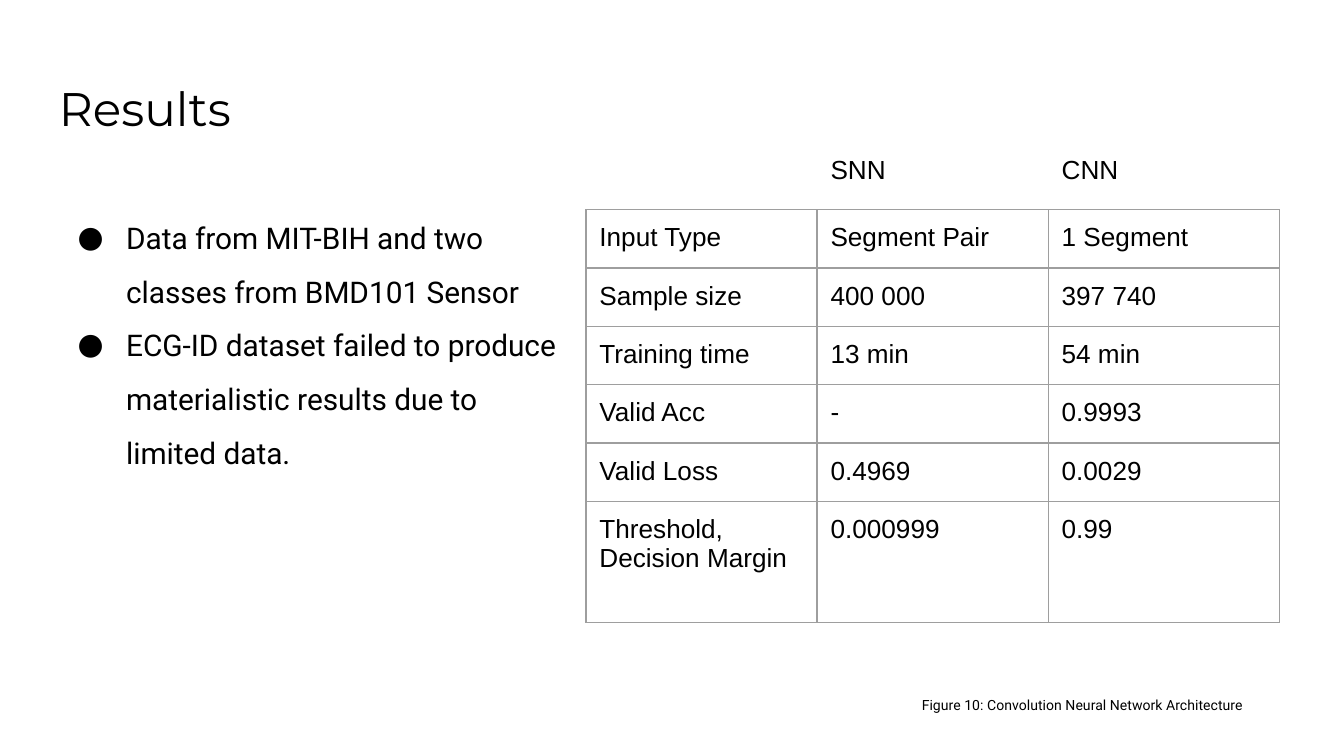
from lxml.etree import SubElement
from pptx import Presentation
from pptx.dml.color import RGBColor
from pptx.oxml.ns import qn
from pptx.util import Inches, Pt

COLORS = {"text": "000000", "grid": "9E9E9E", "background": "FFFFFF"}
RESULTS = [
    ("", "SNN", "CNN"),
    ("Input Type", "Segment Pair", "1 Segment"),
    ("Sample size", "400 000", "397 740"),
    ("Training time", "13 min", "54 min"),
    ("Valid Acc", "-", "0.9993"),
    ("Valid Loss", "0.4969", "0.0029"),
    ("Threshold, Decision Margin", "0.000999", "0.99"),
]
FINDINGS = [
    "Data from MIT-BIH and two classes from BMD101 Sensor",
    "ECG-ID dataset failed to produce materialistic results due to limited data.",
]


class ResultsSlide:
    """Holds the style and the slide, and adds each kind of element to it."""

    def __init__(self, slide):
        self.slide = slide
        self.inset = Inches(0.1)
        slide.background.fill.solid()
        slide.background.fill.fore_color.rgb = RGBColor.from_string(COLORS["background"])

    def set_insets(self, holder):
        holder.margin_left = holder.margin_right = self.inset
        holder.margin_top = holder.margin_bottom = self.inset

    def style_runs(self, paragraph, font, size):
        for run in paragraph.runs:
            run.font.name = font
            run.font.size = Pt(size)
            run.font.color.rgb = RGBColor.from_string(COLORS["text"])

    def add_text(self, text, left, top, width, height, font, size):
        box = self.slide.shapes.add_textbox(
            Inches(left), Inches(top), Inches(width), Inches(height))
        frame = box.text_frame
        frame.word_wrap = True
        self.set_insets(frame)
        frame.text = text
        for paragraph in frame.paragraphs:
            self.style_runs(paragraph, font, size)
        return frame

    def add_bullets(self, items, left, top, width, height, font, size):
        frame = self.add_text("\n".join(items), left, top, width, height, font, size)
        for paragraph in frame.paragraphs:
            paragraph.line_spacing = 1.5
            properties = paragraph._p.get_or_add_pPr()
            properties.set("marL", str(Inches(0.5)))
            properties.set("indent", str(Inches(-0.36)))
            bullet_color = SubElement(properties, qn("a:buClr"))
            SubElement(bullet_color, qn("a:srgbClr"), val=COLORS["text"])
            SubElement(properties, qn("a:buSzPts"), val=str(size * 100))
            SubElement(properties, qn("a:buFont"), typeface=font)
            SubElement(properties, qn("a:buChar"), char="●")

    def add_borders(self, cell, visible):
        properties = cell._tc.get_or_add_tcPr()
        for side in "LRTB":
            line = SubElement(properties, qn(f"a:ln{side}"), w=str(Pt(0.75)))
            if side in visible:
                fill = SubElement(line, qn("a:solidFill"))
                SubElement(fill, qn("a:srgbClr"), val=COLORS["grid"])
            else:
                SubElement(line, qn("a:noFill"))

    def add_table(self, rows, left, top, widths, heights, font, size):
        table = self.slide.shapes.add_table(
            len(rows), len(widths), Inches(left), Inches(top),
            Inches(sum(widths)), Inches(sum(heights))).table
        table.first_row = table.horz_banding = False
        for column, width in zip(table.columns, widths):
            column.width = Inches(width)
        for index, (row, height, values) in enumerate(zip(table.rows, heights, rows)):
            row.height = Inches(height)
            for cell, value in zip(row.cells, values):
                self.set_insets(cell)
                self.add_borders(cell, "LRTB" if index else "B")
                cell.fill.background()
                cell.text_frame.text = value
                self.style_runs(cell.text_frame.paragraphs[0], font, size)


def main():
    deck = Presentation()
    deck.slide_width, deck.slide_height = Inches(10), Inches(10 * 9 / 16)
    results = ResultsSlide(deck.slides.add_slide(deck.slide_layouts[6]))
    results.add_text("Results", 0.34, 0.49, 6.71, 0.63, "Montserrat", 25.2)
    results.add_bullets(FINDINGS, 0.34, 1.4, 3.97, 2.09, "Roboto", 16)
    results.add_text("Figure 10: Convolution Neural Network Architecture",
                     6.76, 5.12, 3.15, 0.33, "Roboto", 7.5)
    results.add_table(RESULTS, 4.36, 1.06, [1.72] * 3, [0.43] * 6 + [0.9], "Arial", 14)
    deck.save("out.pptx")


if __name__ == "__main__":
    main()
